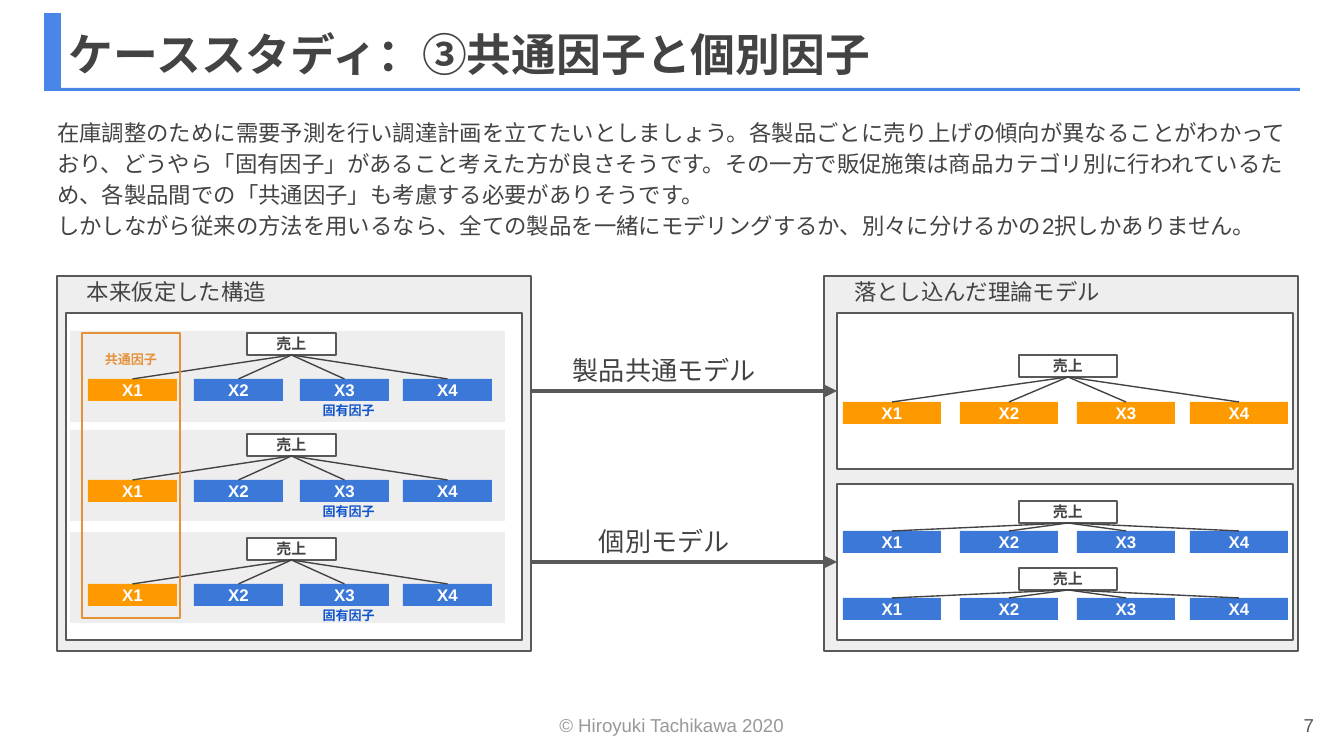
"""Build the slide that contrasts common and individual factors in sales models."""
from dataclasses import dataclass
from typing import Any, NamedTuple, Optional

from lxml.etree import SubElement
from pptx import Presentation
from pptx.dml.color import RGBColor
from pptx.enum.shapes import MSO_CONNECTOR, MSO_SHAPE
from pptx.enum.text import MSO_ANCHOR, MSO_AUTO_SIZE, PP_ALIGN
from pptx.oxml.ns import qn
from pptx.util import Pt

RECTANGLE = MSO_SHAPE.RECTANGLE
STRAIGHT = MSO_CONNECTOR.STRAIGHT
TOP, MIDDLE = MSO_ANCHOR.TOP, MSO_ANCHOR.MIDDLE
LEFT, CENTER, RIGHT = PP_ALIGN.LEFT, PP_ALIGN.CENTER, PP_ALIGN.RIGHT
FIXED = MSO_AUTO_SIZE.NONE
TOP_SIDE, LEFT_SIDE, BOTTOM_SIDE = 0, 1, 2
EMU_PER_PX = 914400 / 134.4
INSET = 13
NODE_HEIGHT = 22


class Box(NamedTuple):
    left: int
    top: int
    width: int
    height: int


class TextStyle(NamedTuple):
    size: int
    color: str
    bold: bool = False
    align: Any = CENTER
    anchor: Any = MIDDLE
    spacing: float = 1.0


@dataclass(frozen=True)
class Theme:
    font: str = "Arial"
    accent: str = "4A86E8"
    ink: str = "434343"
    border: str = "595959"
    panel: str = "EEEEEE"
    paper: str = "FFFFFF"
    common: str = "FF9900"
    common_frame: str = "E69138"
    own: str = "3C78D8"
    hairline: float = 0.75
    arrow: float = 2.25
    title: TextStyle = TextStyle(24, "434343", True, LEFT)
    body: TextStyle = TextStyle(12, "434343", False, LEFT, TOP, 1.15)
    heading: TextStyle = TextStyle(12, "434343", False, LEFT)
    model: TextStyle = TextStyle(14, "434343")
    sales: TextStyle = TextStyle(8, "434343", True)
    factor: TextStyle = TextStyle(9, "FFFFFF", True)
    own_note: TextStyle = TextStyle(7, "1155CC", True)
    common_note: TextStyle = TextStyle(7, "E69138", True)
    footer: TextStyle = TextStyle(10, "999999")
    number: TextStyle = TextStyle(10, "595959", False, RIGHT)


class TreeLayout(NamedTuple):
    sales_left: int
    factor_lefts: tuple
    node_width: int


THEME = Theme()
PRODUCT = TreeLayout(247, (88, 194, 300, 403), 89)
MODEL = TreeLayout(1019, (843, 960, 1077, 1190), 98)
ALL_COMMON = (THEME.common,) * 4
ALL_OWN = (THEME.own,) * 4
MIXED = (THEME.common,) + (THEME.own,) * 3


def px(length: int) -> int:
    """Turn pixels into EMU."""
    return round(length * EMU_PER_PX)


def assign(target: Any, values: dict) -> None:
    """Set every named value on the target."""
    for name, value in values.items():
        setattr(target, name, value)


def place(item: Any, box: Box) -> None:
    """Move and size a placeholder."""
    assign(item, {side: px(length) for side, length in box._asdict().items()})


def write(item: Any, text: str, style: TextStyle) -> None:
    """Fill a shape with formatted text, one paragraph per line."""
    frame = item.text_frame
    frame.text = text
    assign(frame, {"word_wrap": True, "auto_size": FIXED, "vertical_anchor": style.anchor})
    assign(frame, {f"margin_{side}": px(INSET) for side in ("left", "top", "right", "bottom")})
    for paragraph in frame.paragraphs:
        assign(paragraph, {"alignment": style.align, "line_spacing": style.spacing,
                           "space_before": Pt(0), "space_after": Pt(0)})
        for run in paragraph.runs:
            assign(run.font, {"name": THEME.font, "size": Pt(style.size), "bold": style.bold})
            run.font.color.rgb = RGBColor.from_string(style.color)
            SubElement(run.font._element, qn("a:ea"), typeface=THEME.font)


def remove_bullets(item: Any) -> None:
    """Make the paragraphs of a list placeholder plain."""
    for paragraph in item.text_frame.paragraphs:
        properties = paragraph._p.get_or_add_pPr()
        properties.set("marL", "0")
        properties.set("indent", "0")
        SubElement(properties, qn("a:buNone"))


def label(slide: Any, box: Box, text: str, style: TextStyle) -> None:
    """Add a text box."""
    write(slide.shapes.add_textbox(*map(px, box)), text, style)


def rectangle(slide: Any, box: Box, fill: Optional[str], line: Optional[str] = None) -> Any:
    """Add a rectangle with an optional fill and outline."""
    shape = slide.shapes.add_shape(RECTANGLE, *map(px, box))
    shape.shadow.inherit = False
    for part, color in ((shape.fill, fill), (shape.line.fill, line)):
        if color is None:
            part.background()
        else:
            part.solid()
            part.fore_color.rgb = RGBColor.from_string(color)
    if line:
        shape.line.width = Pt(THEME.hairline)
    return shape


def connector(slide: Any, start: tuple, end: tuple, color: str, width: float) -> Any:
    """Add a straight line without a shadow."""
    link = slide.shapes.add_connector(STRAIGHT, *map(px, start + end))
    link.line.color.rgb = RGBColor.from_string(color)
    link.line.width = Pt(width)
    SubElement(link._element.spPr, qn("a:effectLst"))
    return link


def tree(slide: Any, layout: TreeLayout, top: int, drop: int, colors: tuple) -> None:
    """Draw a sales node joined to its four factors."""
    sales = rectangle(slide, Box(layout.sales_left, top, layout.node_width, NODE_HEIGHT),
                      THEME.paper, THEME.border)
    write(sales, "売上", THEME.sales)
    for index, (left, color) in enumerate(zip(layout.factor_lefts, colors), 1):
        factor = rectangle(slide, Box(left, top + drop, layout.node_width, NODE_HEIGHT), color)
        write(factor, f"X{index}", THEME.factor)
        branch = connector(slide, (0, 0), (0, 0), THEME.ink, THEME.hairline)
        branch.begin_connect(sales, BOTTOM_SIDE)
        branch.end_connect(factor, TOP_SIDE)


def model_arrow(slide: Any, target: Any, y: int, text: str) -> None:
    """Draw a labelled arrow from the assumed structure to a model."""
    arrow = connector(slide, (531, y), (837, y), THEME.border, THEME.arrow)
    arrow.end_connect(target, LEFT_SIDE)
    SubElement(arrow.line._get_or_add_ln(), qn("a:tailEnd"), type="triangle")
    label(slide, Box(512, y - 42, 305, 42), text, THEME.model)


def main() -> None:
    """Build and save the slide."""
    deck = Presentation()
    assign(deck, {"slide_width": px(1344), "slide_height": px(756)})
    slide = deck.slides.add_slide(deck.slide_layouts[1])
    title, body = slide.placeholders

    for bar in (Box(44, 13, 17, 75), Box(44, 88, 1256, 3)):
        rectangle(slide, bar, THEME.accent)
    place(title, Box(56, 16, 1253, 75))
    write(title, "ケーススタディ：③共通因子と個別因子", THEME.title)
    place(body, Box(44, 102, 1263, 168))
    write(body, "在庫調整のために需要予測を行い調達計画を立てたいとしましょう。"
                "各製品ごとに売り上げの傾向が異なることがわかっており、"
                "どうやら「固有因子」があること考えた方が良さそうです。"
                "その一方で販促施策は商品カテゴリ別に行われているため、"
                "各製品間での「共通因子」も考慮する必要がありそうです。\n"
                "しかしながら従来の方法を用いるなら、全ての製品を一緒にモデリングするか、"
                "別々に分けるかの2択しかありません。", THEME.body)
    remove_bullets(body)

    for left in (57, 824):
        rectangle(slide, Box(left, 276, 474, 375), THEME.panel, THEME.border)
    label(slide, Box(74, 282, 220, 20), "本来仮定した構造", THEME.heading)
    label(slide, Box(841, 282, 284, 20), "落とし込んだ理論モデル", THEME.heading)

    rectangle(slide, Box(66, 313, 456, 327), THEME.paper, THEME.border)
    for band_top, tree_top in ((331, 333), (430, 434), (532, 538)):
        rectangle(slide, Box(70, band_top, 435, 91), THEME.panel)
        tree(slide, PRODUCT, tree_top, 46, MIXED)
        label(slide, Box(192, tree_top + 66, 313, NODE_HEIGHT), "固有因子", THEME.own_note)
    rectangle(slide, Box(82, 333, 98, 285), None, THEME.common_frame)
    label(slide, Box(82, 348, 98, NODE_HEIGHT), "共通因子", THEME.common_note)

    for top, name in ((313, "製品共通モデル"), (484, "個別モデル")):
        model = rectangle(slide, Box(837, top, 456, 156), THEME.paper, THEME.border)
        model_arrow(slide, model, top + 78, name)
    for top, drop, colors in ((355, 47, ALL_COMMON), (501, 30, ALL_OWN), (568, 30, ALL_OWN)):
        tree(slide, MODEL, top, drop, colors)

    label(slide, Box(90, 707, 1163, 36), "©︎ Hiroyuki Tachikawa 2020", THEME.footer)
    label(slide, Box(1246, 707, 81, 36), "7", THEME.number)
    deck.save("out.pptx")


if __name__ == "__main__":
    main()
